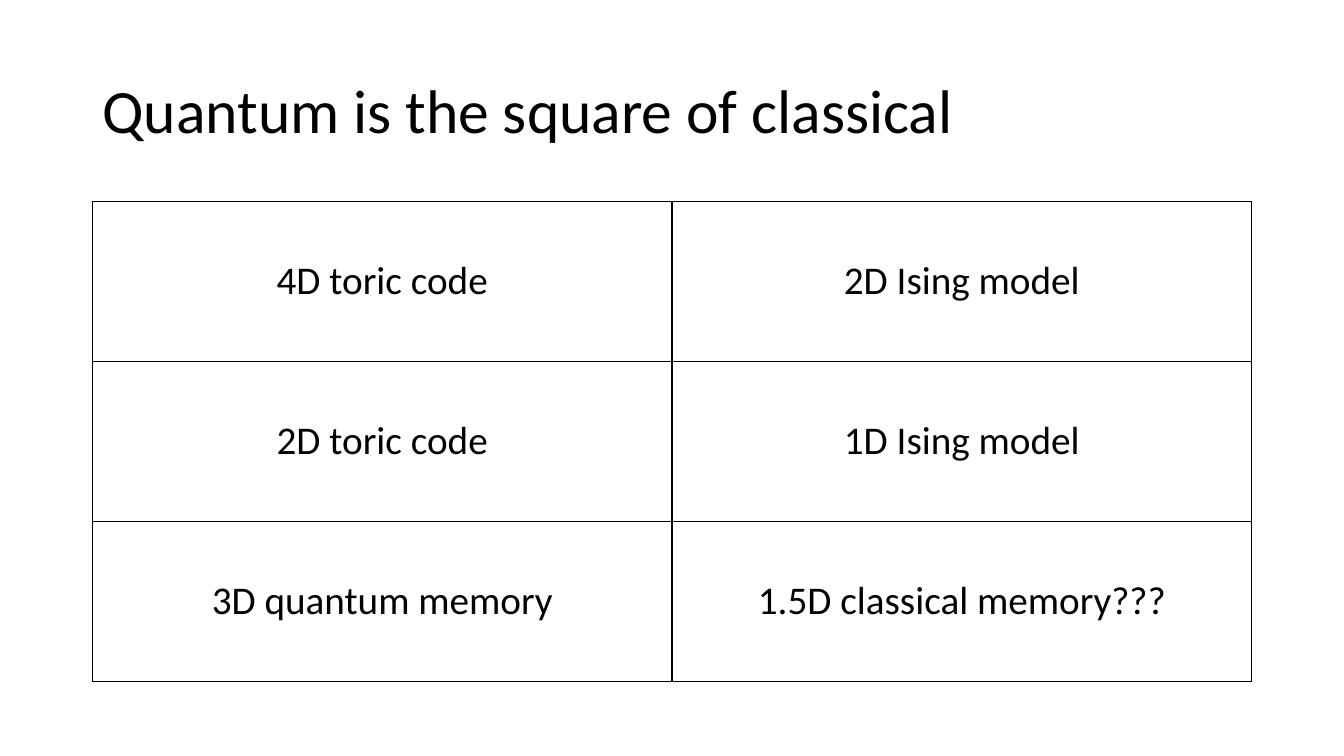
"""Build a slide that pairs quantum models with their classical counterparts."""
from dataclasses import dataclass
from typing import Any

from lxml.etree import SubElement
from pptx import Presentation
from pptx.dml.color import RGBColor
from pptx.enum.text import MSO_ANCHOR, PP_ALIGN
from pptx.oxml.ns import qn
from pptx.slide import Slide
from pptx.table import _Cell
from pptx.text.text import TextFrame
from pptx.util import Cm, Pt

BLACK = "000000"
LEFT, WIDTH = Cm(2.33), Cm(29.21)
TITLE_TOP, TITLE_HEIGHT = Cm(1.01), Cm(3.68)
TABLE_TOP, ROW_HEIGHT = Cm(5.08), Cm(4.03)
BORDER_WIDTH = Pt(1)
TITLE_FORMAT = {"alignment": PP_ALIGN.LEFT, "line_spacing": 0.9}
CELL_FORMAT = {"alignment": PP_ALIGN.CENTER}


@dataclass(frozen=True)
class Pair:
    quantum: str
    classical: str


PAIRS = [
    Pair("4D toric code", "2D Ising model"),
    Pair("2D toric code", "1D Ising model"),
    Pair("3D quantum memory", "1.5D classical memory???"),
]


def color(value: str) -> RGBColor:
    return RGBColor.from_string(value)


def apply_format(target: Any, values: dict[str, Any]) -> None:
    for name, value in values.items():
        setattr(target, name, value)


def write_text(frame: TextFrame, text: str, size: int, layout: dict[str, Any]) -> None:
    para = frame.paragraphs[0]
    apply_format(para, layout)
    span = para.add_run()
    span.text = text
    apply_format(span.font, {"name": "Calibri", "size": Pt(size), "bold": False})
    span.font.color.rgb = color(BLACK)


def add_borders(cell: _Cell) -> None:
    properties = cell._tc.get_or_add_tcPr()
    for side in ("lnL", "lnR", "lnT", "lnB"):
        line = SubElement(properties, qn(f"a:{side}"), w=str(BORDER_WIDTH))
        fill = SubElement(line, qn("a:solidFill"))
        SubElement(fill, qn("a:srgbClr"), val=BLACK)


def add_title(page: Slide, text: str) -> None:
    box = page.shapes.add_textbox(LEFT, TITLE_TOP, WIDTH, TITLE_HEIGHT)
    apply_format(box.text_frame, {"word_wrap": True, "vertical_anchor": MSO_ANCHOR.MIDDLE})
    write_text(box.text_frame, text, 44, TITLE_FORMAT)


def add_pairs(page: Slide, pairs: list[Pair]) -> None:
    height = ROW_HEIGHT * len(pairs)
    table = page.shapes.add_table(len(pairs), 2, LEFT, TABLE_TOP, WIDTH, height).table
    apply_format(table, {"first_row": False, "horz_banding": False})
    for row, pair in enumerate(pairs):
        for column, text in enumerate((pair.quantum, pair.classical)):
            cell = table.cell(row, column)
            cell.vertical_anchor = MSO_ANCHOR.MIDDLE
            add_borders(cell)
            cell.fill.background()
            write_text(cell.text_frame, text, 28, CELL_FORMAT)


def main() -> None:
    deck = Presentation()
    apply_format(deck, {"slide_width": Cm(33.87), "slide_height": Cm(19.05)})
    page = deck.slides.add_slide(deck.slide_layouts[6])
    add_title(page, "Quantum is the square of classical")
    add_pairs(page, PAIRS)
    deck.save("out.pptx")


if __name__ == "__main__":
    main()
